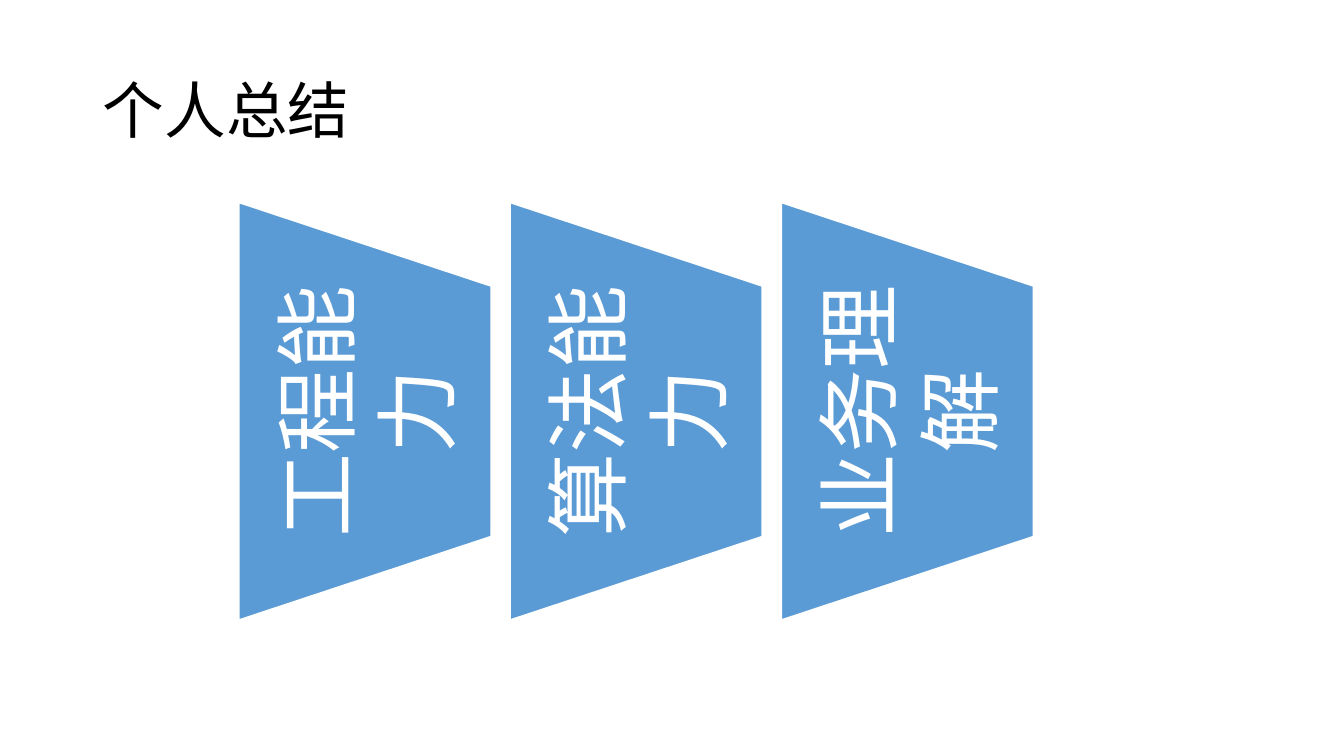
"""Build the personal summary slide with three sideways trapezoids."""
from dataclasses import dataclass

from pptx import Presentation
from pptx.dml.color import RGBColor
from pptx.enum.shapes import MSO_SHAPE
from pptx.enum.text import MSO_ANCHOR, MSO_AUTO_SIZE, PP_ALIGN
from pptx.util import Inches, Pt

TRAPEZOID = MSO_SHAPE.FLOWCHART_MANUAL_OPERATION
MIDDLE = MSO_ANCHOR.MIDDLE
NO_FIT = MSO_AUTO_SIZE.NONE
LEFT, CENTER = PP_ALIGN.LEFT, PP_ALIGN.CENTER
TITLE_ONLY = 5


@dataclass(frozen=True)
class Theme:
    font: str = "Calibri"
    blue: RGBColor = RGBColor(0x5B, 0x9B, 0xD5)
    white: RGBColor = RGBColor(0xFF, 0xFF, 0xFF)
    black: RGBColor = RGBColor(0x00, 0x00, 0x00)
    title_size: int = 44
    skill_size: int = 60


@dataclass(frozen=True)
class Row:
    left: float = 1.55
    top: float = 2.83
    width: float = 4.14
    height: float = 2.5
    pitch: float = 2.69
    inset: float = 0.42


@dataclass(frozen=True)
class Skill:
    column: int
    label: str


THEME = Theme()
ROW = Row()
SKILLS = [Skill(i, label) for i, label in enumerate(("工程能力", "算法能力", "业务理解"))]


def set_text(tf, text: str, size: int, color: RGBColor, align: PP_ALIGN) -> None:
    tf.text = text
    tf.word_wrap = True
    tf.auto_size = NO_FIT
    tf.vertical_anchor = MIDDLE
    p = tf.paragraphs[0]
    p.alignment = align
    p.font.name = THEME.font
    p.font.size = Pt(size)
    p.font.color.rgb = color


def add_title(s, text: str) -> None:
    title = s.shapes.title
    title.left, title.top = Inches(0.92), Inches(0.4)
    title.width, title.height = Inches(11.5), Inches(1.45)
    set_text(title.text_frame, text, THEME.title_size, THEME.black, LEFT)
    title.text_frame.paragraphs[0].line_spacing = 0.9


def add_skill(shapes, skill: Skill) -> None:
    left = ROW.left + skill.column * ROW.pitch
    box = [Inches(v) for v in (left, ROW.top, ROW.width, ROW.height)]
    sp = shapes.add_shape(TRAPEZOID, *box)
    sp.rotation = 270
    sp.shadow.inherit = False
    sp.fill.solid()
    sp.fill.fore_color.rgb = THEME.blue
    sp.line.color.rgb = THEME.white
    sp.line.width = Pt(1)

    label = shapes.add_textbox(*box)
    label.rotation = 270
    tf = label.text_frame
    tf.margin_left = tf.margin_right = Inches(ROW.inset)
    tf.margin_top = tf.margin_bottom = 0
    set_text(tf, skill.label, THEME.skill_size, THEME.white, CENTER)


def main() -> None:
    prs = Presentation()
    prs.slide_width, prs.slide_height = Inches(13.33), Inches(7.5)
    s = prs.slides.add_slide(prs.slide_layouts[TITLE_ONLY])
    add_title(s, "个人总结")
    group = s.shapes.add_group_shape()
    for skill in SKILLS:
        add_skill(group.shapes, skill)
    prs.save("out.pptx")


if __name__ == "__main__":
    main()
